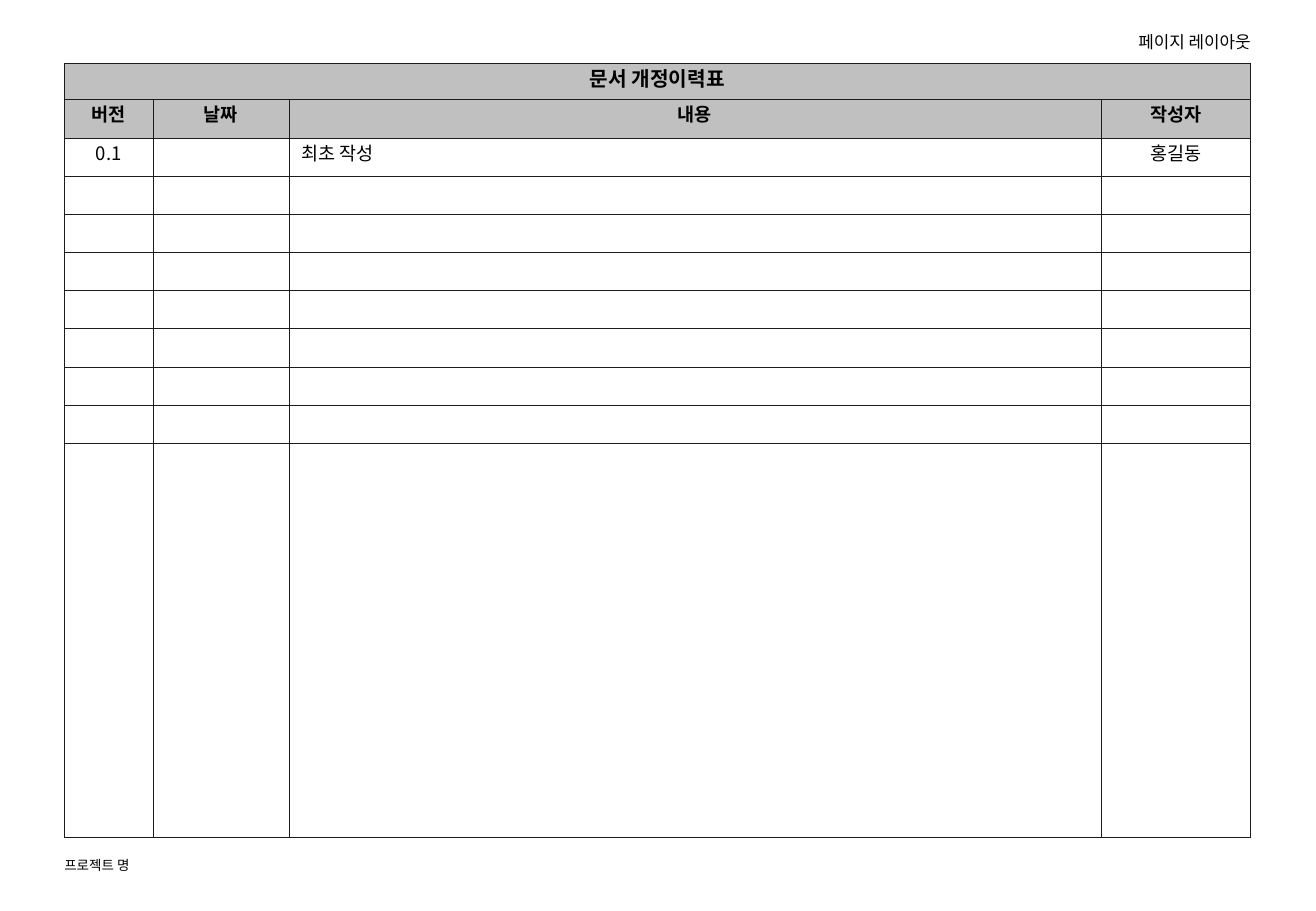
from dataclasses import dataclass

from lxml import etree
from pptx import Presentation
from pptx import util as u
from pptx.dml.color import RGBColor
from pptx.enum import text
from pptx.oxml import ns

GRID = u.Inches(0.01)
PAGE_COLUMNS, PAGE_ROWS = 1084, 750
LEFT, RIGHT = 53, 1030
FONT = "Noto Sans CJK KR"
INK, BORDER, HEADING_FILL = "000000", "1C1C1C", "C0C0C0"
CENTER, START, END = text.PP_ALIGN.CENTER, text.PP_ALIGN.LEFT, text.PP_ALIGN.RIGHT


@dataclass(frozen=True)
class Column:
    heading: str
    width: int
    first_entry: str
    align: text.PP_ALIGN = CENTER


COLUMNS = [
    Column("버전", 73, "0.1"),
    Column("날짜", 112, ""),
    Column("내용", 669, "최초 작성", START),
    Column("작성자", 123, "홍길동"),
]
TABLE_TOP, TABLE_HEIGHT = 52, 638
TITLE_ROW, HEADING_ROW, LAST_ROW, ENTRY_ROWS = 30, 32, 325, 8
ENTRY_ROW = (TABLE_HEIGHT - TITLE_ROW - HEADING_ROW - LAST_ROW) / ENTRY_ROWS
ROW_HEIGHTS = [TITLE_ROW, HEADING_ROW, *[ENTRY_ROW] * ENTRY_ROWS, LAST_ROW]


def grid(count: float) -> int:
    return round(count * GRID)


def color(value: str) -> RGBColor:
    return RGBColor.from_string(value)


def write(frame, words: str, *, size: float, bold: bool = False,
          align: text.PP_ALIGN = START, before: float = 0) -> None:
    para = frame.paragraphs[0]
    para.alignment = align
    para.space_before = u.Pt(before)
    if not words:
        etree.SubElement(para._p, ns.qn("a:endParaRPr"), sz=str(size * 100))
        return
    span = para.add_run()
    span.text = words
    span.font.size = u.Pt(size)
    span.font.bold = bold
    span.font.name = FONT
    span.font.color.rgb = color(INK)
    etree.SubElement(span._r.get_or_add_rPr(), ns.qn("a:ea"), typeface=FONT)


def place_label(box, words: str, left: float, top: float, width: float,
                height: float, *, size: float, align: text.PP_ALIGN) -> None:
    box.left, box.top = grid(left), grid(top)
    box.width, box.height = grid(width), grid(height)
    frame = box.text_frame
    frame.word_wrap = True
    frame.auto_size = text.MSO_AUTO_SIZE.NONE
    frame.vertical_anchor = text.MSO_ANCHOR.TOP
    frame.margin_left = frame.margin_right = frame.margin_top = frame.margin_bottom = 0
    write(frame, words, size=size, align=align)


def format_cell(cell, fill: str | None) -> None:
    cell.margin_top = cell.margin_bottom = 0
    properties = cell._tc.get_or_add_tcPr()
    for side in ("lnL", "lnR", "lnT", "lnB"):
        line = etree.SubElement(properties, ns.qn(f"a:{side}"), w=str(u.Pt(0.45)))
        solid = etree.SubElement(line, ns.qn("a:solidFill"))
        etree.SubElement(solid, ns.qn("a:srgbClr"), val=BORDER)
    if fill:
        cell.fill.solid()
        cell.fill.fore_color.rgb = color(fill)
    else:
        cell.fill.background()


def add_history_table(page) -> None:
    table = page.shapes.add_table(
        len(ROW_HEIGHTS), len(COLUMNS), grid(LEFT), grid(TABLE_TOP),
        grid(RIGHT - LEFT), grid(TABLE_HEIGHT)).table
    table.first_row = table.horz_banding = False
    for row, height in zip(table.rows, ROW_HEIGHTS):
        row.height = grid(height)
    for index, column in enumerate(COLUMNS):
        table.columns[index].width = grid(column.width)
        for row in range(len(ROW_HEIGHTS)):
            cell = table.cell(row, index)
            format_cell(cell, HEADING_FILL if row < 2 else None)
            if row == 0:
                words = "문서 개정이력표" if index == 0 else ""
                write(cell.text_frame, words, size=12, bold=True, align=CENTER, before=3)
            elif row == 1:
                write(cell.text_frame, column.heading, size=11, bold=True,
                      align=CENTER, before=2.8)
            else:
                words = column.first_entry if row == 2 else ""
                write(cell.text_frame, words, size=11, align=column.align, before=2.8)
    table.cell(0, 0).merge(table.cell(0, len(COLUMNS) - 1))


def main() -> None:
    deck = Presentation()
    deck.slide_width, deck.slide_height = grid(PAGE_COLUMNS), grid(PAGE_ROWS)
    page = deck.slides.add_slide(deck.slide_layouts.get_by_name("Title Only"))
    add_history_table(page)
    footer = page.shapes.add_textbox(0, 0, 0, 0)
    place_label(footer, "프로젝트 명", LEFT, 706, 355, 13, size=8, align=START)
    place_label(page.shapes.title, "페이지 레이아웃", RIGHT - 319, 26, 319, 17,
                size=10, align=END)
    deck.save("out.pptx")


if __name__ == "__main__":
    main()
